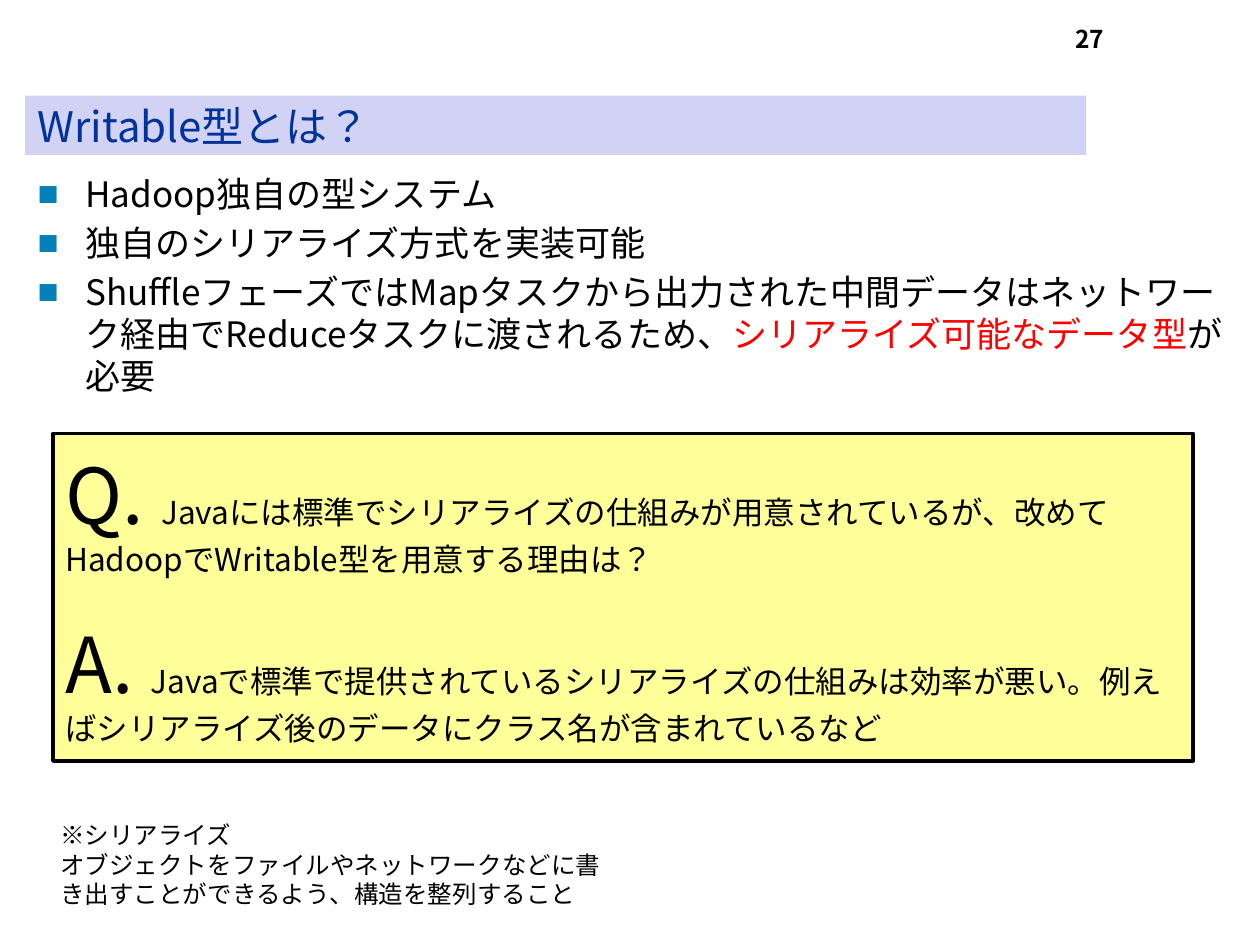
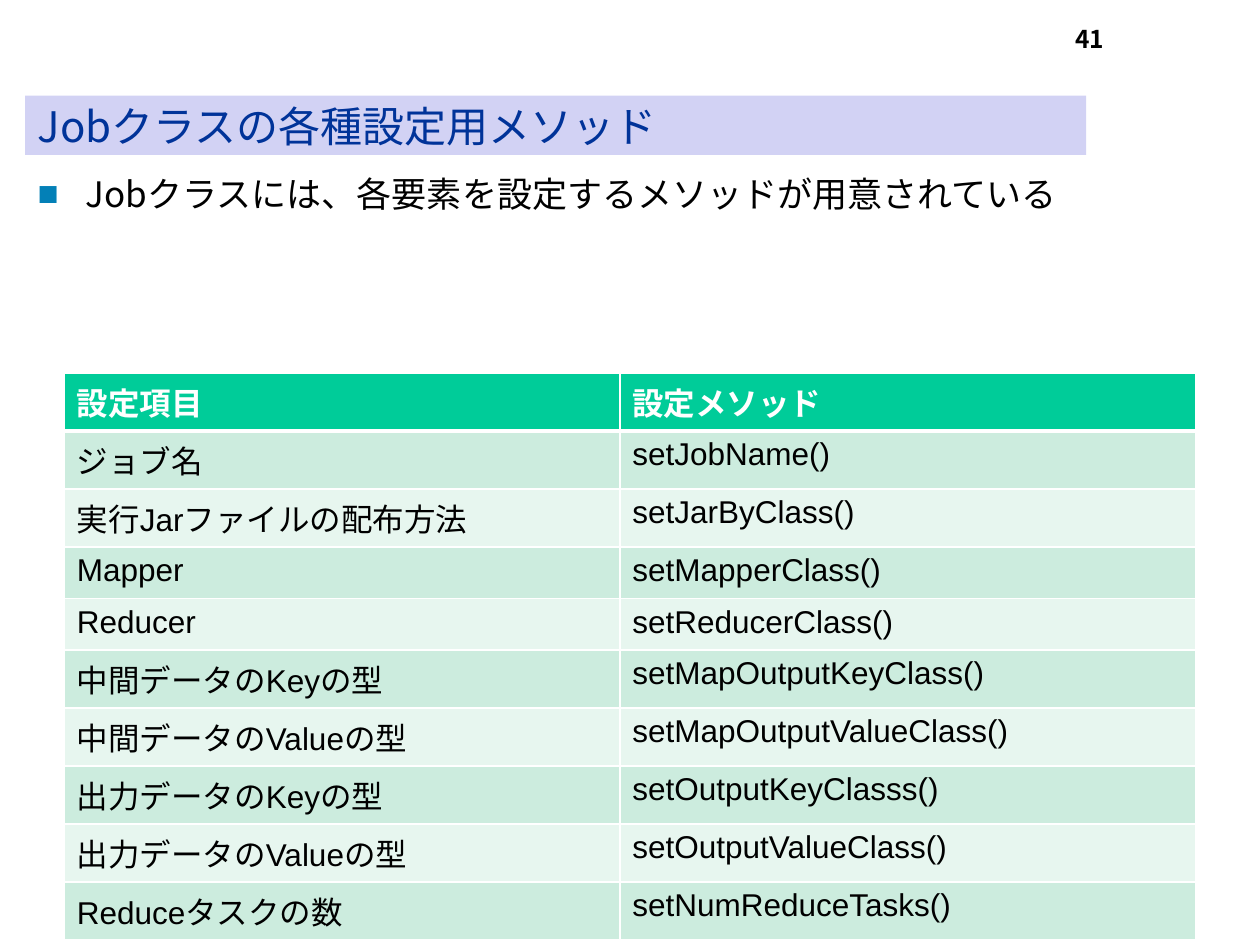
from lxml.etree import SubElement
from pptx import Presentation
from pptx.dml.color import RGBColor
from pptx.enum.lang import MSO_LANGUAGE_ID
from pptx.enum.shapes import MSO_SHAPE
from pptx.enum.text import MSO_ANCHOR, PP_ALIGN
from pptx.oxml.ns import qn
from pptx.util import Inches, Pt

BLACK = RGBColor(0, 0, 0)
WHITE = RGBColor(255, 255, 255)
RED = RGBColor(255, 0, 0)
NAVY = RGBColor(0x00, 0x33, 0x99)
BAND = RGBColor(0xD2, 0xD2, 0xF4)
BLUE = RGBColor(0x03, 0x80, 0xB7)
CREAM = RGBColor(0xFF, 0xFF, 0x99)
HEAD = RGBColor(0x00, 0xCC, 0x99)
ROWS = [RGBColor(0xCC, 0xEC, 0xDE), RGBColor(0xE7, 0xF6, 0xEF)]
SANS = "Noto Sans CJK JP"

PAGES = [
    ("Writable型とは？", "27", 1.49, [
        [("Hadoop独自の型システム", BLACK)],
        [("独自のシリアライズ方式を実装可能", BLACK)],
        [("ShuffleフェーズではMapタスクから出力された中間データは"
          "ネットワーク経由でReduceタスクに渡されるため、", BLACK),
         ("シリアライズ可能なデータ型", RED), ("が必要", BLACK)],
    ]),
    ("Jobクラスの各種設定用メソッド", "41", 0.54, [
        [("Jobクラスには、各要素を設定するメソッドが用意されている", BLACK)],
    ]),
]
NOTE = ["※シリアライズ",
        "オブジェクトをファイルやネットワークなどに書き出すことができるよう、構造を整列すること"]
TALK = [
    ("Q. ", "Javaには標準でシリアライズの仕組みが用意されているが、"
            "改めてHadoopでWritable型を用意する理由は？"),
    ("A. ", "Javaで標準で提供されているシリアライズの仕組みは効率が悪い。"
            "例えばシリアライズ後のデータにクラス名が含まれているなど"),
]
CELLS = [
    ("設定項目", "設定メソッド"),
    ("ジョブ名", "setJobName()"),
    ("実行Jarファイルの配布方法", "setJarByClass()"),
    ("Mapper", "setMapperClass()"),
    ("Reducer", "setReducerClass()"),
    ("中間データのKeyの型", "setMapOutputKeyClass()"),
    ("中間データのValueの型", "setMapOutputValueClass()"),
    ("出力データのKeyの型", "setOutputKeyClasss()"),
    ("出力データのValueの型", "setOutputValueClass()"),
    ("Reduceタスクの数", "setNumReduceTasks()"),
]


def write(para, text, size, color=BLACK, name=SANS, bold=False):
    """Append one run, with the Japanese font set beside the Latin one."""
    run = para.add_run()
    run.text = text
    look = {"size": Pt(size), "name": name, "bold": bold,
            "language_id": MSO_LANGUAGE_ID.JAPANESE}
    for key, value in look.items():
        setattr(run.font, key, value)
    run.font.color.rgb = color
    SubElement(run.font._element, qn("a:ea"), typeface=SANS)


def place(slide, left, top, width, height, fill=None):
    """Add a wrapping text box, or a filled box with its text in the middle."""
    area = [Inches(n) for n in (left, top, width, height)]
    if fill is None:
        box = slide.shapes.add_textbox(*area)
    else:
        box = slide.shapes.add_shape(MSO_SHAPE.RECTANGLE, *area)
        box.shadow.inherit = False
        box.fill.solid()
        box.fill.fore_color.rgb = fill
        box.line.fill.background()
        box.text_frame.vertical_anchor = MSO_ANCHOR.MIDDLE
        box.text_frame.paragraphs[0].alignment = PP_ALIGN.LEFT
    box.text_frame.word_wrap = True
    return box


deck = Presentation()
deck.slide_width = Inches(10)
deck.slide_height = Inches(7.5)

# Title band, page number and bullets of every slide
slides = []
for title, number, tall, points in PAGES:
    slide = deck.slides.add_slide(deck.slide_layouts[6])
    slides.append(slide)
    band = place(slide, 0.2, 0.76, 8.42, 0.47, BAND)
    write(band.text_frame.paragraphs[0], title, 24, NAVY)

    frame = place(slide, 0.2, 1.32, 9.61, tall).text_frame
    for i, parts in enumerate(points):
        para = frame.add_paragraph() if i else frame.paragraphs[0]
        props = para._p.get_or_add_pPr()
        props.set("marL", str(Inches(0.38)))
        props.set("indent", str(-Inches(0.38)))
        tint = SubElement(props, qn("a:buClr"))
        SubElement(tint, qn("a:srgbClr"), val=str(BLUE))
        SubElement(props, qn("a:buFont"), typeface="Arial")
        SubElement(props, qn("a:buChar"), char="■")
        if i:
            para.space_before = Pt(4)
        for text, color in parts:
            write(para, text, 20, color)

    para = place(slide, 6.78, 0.14, 2.08, 0.5).text_frame.paragraphs[0]
    para.alignment = PP_ALIGN.RIGHT
    write(para, number, 14, bold=True)

first, second = slides

# Footnote
frame = place(first, 0.38, 6.46, 4.57, 0.81).text_frame
for i, text in enumerate(NOTE):
    para = frame.add_paragraph() if i else frame.paragraphs[0]
    write(para, text, 14)

# Question and answer
panel = place(first, 0.42, 3.44, 9.05, 2.6, CREAM)
panel.line.color.rgb = BLACK
panel.line.width = Pt(2)
frame = panel.text_frame
for i, (mark, text) in enumerate(TALK):
    para = frame.add_paragraph() if i else frame.paragraphs[0]
    para.alignment = PP_ALIGN.LEFT
    if i:
        para.space_before = Pt(22)
    write(para, mark, 44)
    write(para, text, 18)

# Table of setter methods; rows with Japanese text are taller
table = second.shapes.add_table(
    len(CELLS), 2, Inches(0.51), Inches(2.96), Inches(8.98), Inches(4.5)).table
for col, width in zip(table.columns, (4.41, 4.57)):
    col.width = Inches(width)
for i, texts in enumerate(CELLS):
    top = i == 0
    table.rows[i].height = Inches(0.41 if texts[0].isascii() else 0.46)
    for j, text in enumerate(texts):
        cell = table.cell(i, j)
        props = cell._tc.get_or_add_tcPr()
        for side in "LRTB":
            thick = (side == "B" and top) or (side == "T" and i == 1)
            edge = SubElement(props, qn("a:ln" + side), w=str(Pt(3 if thick else 1)))
            fill = SubElement(edge, qn("a:solidFill"))
            SubElement(fill, qn("a:srgbClr"), val=str(WHITE))
        cell.fill.solid()
        cell.fill.fore_color.rgb = HEAD if top else ROWS[(i - 1) % 2]
        write(cell.text_frame.paragraphs[0], text, 18,
              WHITE if top else BLACK, "Arial", top)

deck.save("out.pptx")
